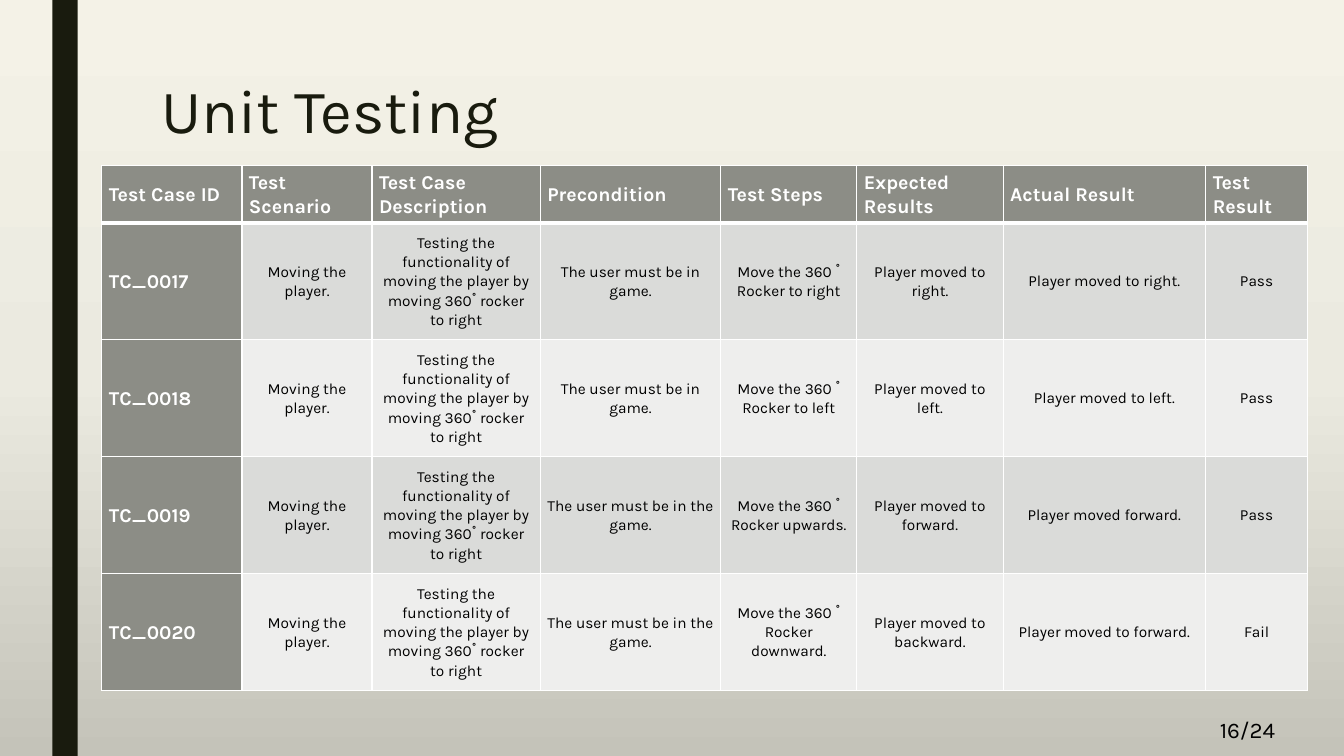
from copy import deepcopy
from lxml import etree
from pptx import Presentation
from pptx import util as u
from pptx.dml.color import RGBColor
from pptx.enum import shapes, text
from pptx.oxml import ns

INK = RGBColor(0x19, 0x1B, 0x0E)
BLACK = RGBColor(0, 0, 0)
WHITE = RGBColor(0xFF, 0xFF, 0xFF)
HEADER = RGBColor(0x8C, 0x8D, 0x86)
BANDS = [RGBColor(0xEE, 0xEE, 0xED), RGBColor(0xDA, 0xDB, 0xD9)]
SKY = [(0, RGBColor(0xF4, 0xF2, 0xE7)), (0.5, RGBColor(0xEB, 0xEA, 0xE0)),
       (1, RGBColor(0xC4, 0xC3, 0xB9))]
FONT = "Karla"

COLUMNS = [1.39, 1.29, 1.67, 1.79, 1.35, 1.45, 2.01, 1.01]
ROWS = [0.57] + [1.16] * 4
TITLES = ["Test Case ID", "Test Scenario", "Test Case Description", "Precondition",
          "Test Steps", "Expected Results", "Actual Result", "Test\nResult"]
SCENARIO = "Moving the player."
DESCRIPTION = "Testing the functionality of moving the player by moving 360˚ rocker to right"
CASES = [
    ("TC_0017", "in game.", "to right", "to right.", "to right.", "Pass"),
    ("TC_0018", "in game.", "to left", "to left.", "to left.", "Pass"),
    ("TC_0019", "in the game.", "upwards.", "to forward.", "forward.", "Pass"),
    ("TC_0020", "in the game.", "downward.", "to backward.", "to forward.", "Fail"),
]


def style(para, size, color, bold=False):
    para.font.name = FONT
    para.font.size = u.Pt(size)
    para.font.color.rgb = color
    para.font.bold = bold


def add_border(cell, index, side, width):
    line = etree.Element(ns.qn("a:" + side), w=str(u.Pt(width)))
    paint = etree.SubElement(line, ns.qn("a:solidFill"))
    etree.SubElement(paint, ns.qn("a:srgbClr"), val=str(WHITE))
    cell._tc.get_or_add_tcPr().insert(index, line)


deck = Presentation()
deck.slide_width, deck.slide_height = u.Inches(13.33), u.Inches(7.5)
page = deck.slides.add_slide(deck.slide_layouts[6])

backdrop = page.background.fill
backdrop.gradient()
backdrop.gradient_angle = 270
first_stop = backdrop.gradient_stops[0]._gs
first_stop.addnext(deepcopy(first_stop))
for stop, (position, color) in zip(backdrop.gradient_stops, SKY):
    stop.position = position
    stop.color.rgb = color

stripe = page.shapes.add_shape(shapes.MSO_SHAPE.RECTANGLE, u.Inches(0.52), 0,
                               u.Inches(0.25), deck.slide_height)
stripe.shadow.inherit = False
stripe.fill.solid()
stripe.fill.fore_color.rgb = INK
stripe.line.fill.background()

for words, place, size, color, spacing in [
    ("16/24", (12, 7.06, 0.96, 0.37), 16, BLACK, 1),
    ("Unit Testing", (1.5, 0.75, 10.5, 1.62), 44, INK, 0.89),
]:
    box = page.shapes.add_textbox(*map(u.Inches, place))
    box.text_frame.word_wrap = True
    para = box.text_frame.paragraphs[0]
    para.text = words
    para.line_spacing = spacing
    style(para, size, color)

grid = page.shapes.add_table(len(ROWS), len(COLUMNS), u.Inches(1.01), u.Inches(1.64),
                             u.Inches(sum(COLUMNS)), u.Inches(sum(ROWS))).table
for column, width in zip(grid.columns, COLUMNS):
    column.width = u.Inches(width)
for row, height in zip(grid.rows, ROWS):
    row.height = u.Inches(height)

lines = [TITLES]
for case, place, step, expected, actual, result in CASES:
    lines.append([case, SCENARIO, DESCRIPTION, f"The user must be {place}",
                  f"Move the 360 ˚ Rocker {step}", f"Player moved {expected}",
                  f"Player moved {actual}", result])

for r, line in enumerate(lines):
    for c, words in enumerate(line):
        heading = r == 0 or c == 0
        cell = grid.cell(r, c)
        cell.text = words
        cell.vertical_anchor = text.MSO_ANCHOR.MIDDLE
        cell.margin_left = cell.margin_right = u.Inches(0.07)
        cell.margin_top = cell.margin_bottom = 0
        cell.fill.solid()
        cell.fill.fore_color.rgb = HEADER if heading else BANDS[r % 2]
        for index, side in enumerate(["lnL", "lnR", "lnT", "lnB"]):
            thick = (r == 0 and side == "lnB") or (r == 1 and side == "lnT")
            add_border(cell, index, side, 3 if thick else 1)
        for para in cell.text_frame.paragraphs:
            para.line_spacing = 1.07
            para.alignment = text.PP_ALIGN.LEFT if heading else text.PP_ALIGN.CENTER
            style(para, 14 if heading else 11, WHITE if heading else BLACK, heading)

deck.save("out.pptx")
